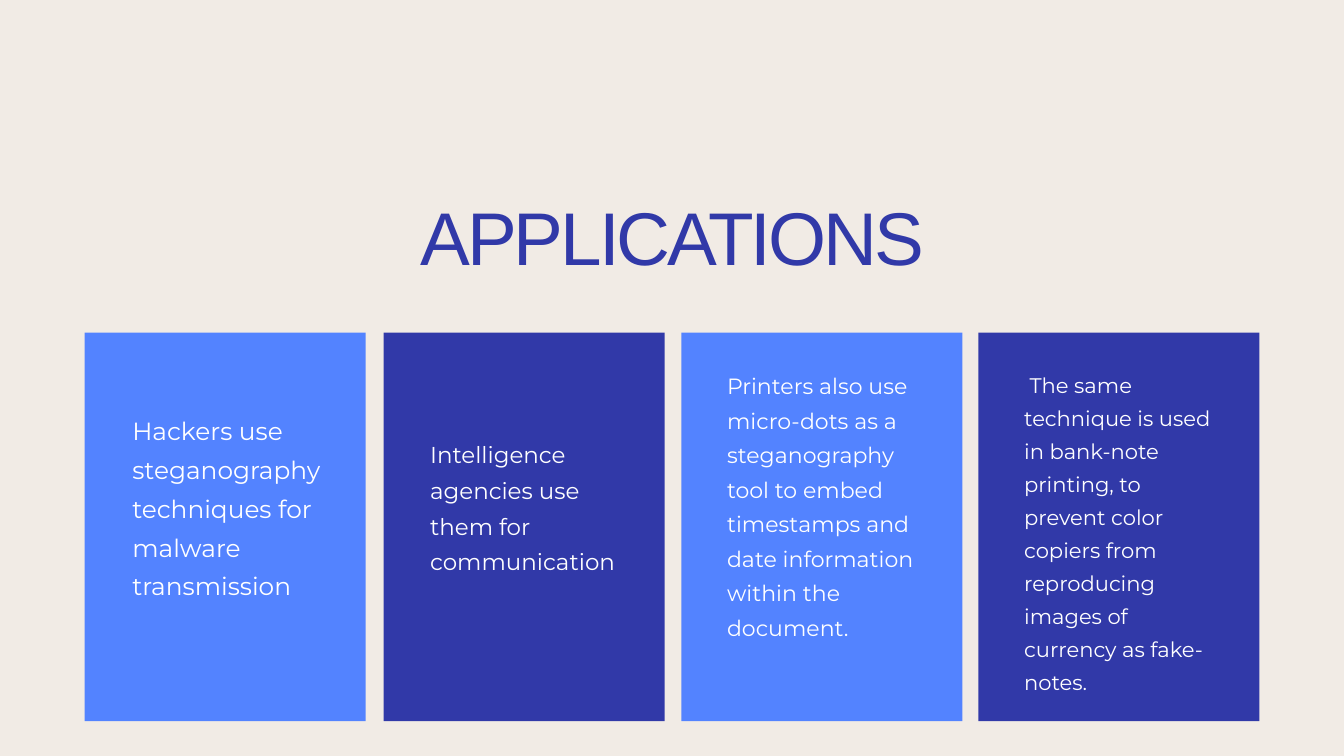
"""Build the slide on applications of steganography."""
from pptx import Presentation
from pptx import util as u
from pptx.dml.color import RGBColor
from pptx.enum import shapes, text

CREAM = RGBColor(0xF1, 0xEB, 0xE5)
SKY = RGBColor(0x53, 0x83, 0xFF)
NAVY = RGBColor(0x31, 0x39, 0xA8)
WHITE = RGBColor(0xFF, 0xFF, 0xFF)

TOP, WIDE, HIGH = 356.4, 301, 416.2

CARDS = [
    (90.7, SKY, (141.8, 436.3, 220.3, 204.5), 26.6, 41.5,
     "Hackers use steganography techniques for malware transmission"),
    (411.1, NAVY, (460.8, 463, 203, 151.2), 24.6, 38.4,
     "Intelligence agencies use them for communication"),
    (730.1, SKY, (779, 391, 203, 329), 23.6, 36.9,
     "Printers also use micro-dots as a steganography tool to embed "
     "timestamps and date information within the document."),
    (1048.3, NAVY, (1097.3, 391, 203, 351.4), 22.6, 35.3,
     " The same technique is used in bank-note printing, to prevent color "
     "copiers from reproducing images of currency as fake-notes."),
]


class Deck:
    def __init__(self, slide, head="Arial", body="Montserrat"):
        self.slide, self.head, self.body = slide, head, body

    def ground(self, color):
        fill = self.slide.background.fill
        fill.solid()
        fill.fore_color.rgb = color

    def panel(self, left, color):
        box = self.slide.shapes.add_shape(
            shapes.MSO_SHAPE.RECTANGLE, *map(u.Pt, (left, TOP, WIDE, HIGH)))
        box.shadow.inherit = False
        box.fill.solid()
        box.fill.fore_color.rgb = color
        box.line.fill.background()

    def label(self, area, words, font, size, lead, color, align):
        frame = self.slide.shapes.add_textbox(*map(u.Pt, area)).text_frame
        frame.word_wrap = True
        frame.auto_size = text.MSO_AUTO_SIZE.SHAPE_TO_FIT_TEXT
        frame.margin_left = frame.margin_right = 0
        frame.margin_top = frame.margin_bottom = 0
        para = frame.paragraphs[0]
        para.alignment = align
        para.line_spacing = u.Pt(lead)
        run = para.add_run()
        run.text = words
        run.font.name = font
        run.font.size = u.Pt(size)
        run.font.color.rgb = color
        return run

    def title(self, area, words):
        run = self.label(area, words, self.head, 80, 80, NAVY,
                         text.PP_ALIGN.CENTER)
        run._r.get_or_add_rPr().set("spc", "-340")

    def card(self, left, color, area, size, lead, words):
        self.panel(left, color)
        self.label(area, words, self.body, size, lead, WHITE,
                   text.PP_ALIGN.LEFT)


def main():
    show = Presentation()
    show.slide_width, show.slide_height = u.Pt(1440), u.Pt(810)
    deck = Deck(show.slides.add_slide(show.slide_layouts[6]))
    deck.ground(CREAM)
    deck.title((195.1, 220.3, 1050.5, 83.5), "APPLICATIONS")
    for card in CARDS:
        deck.card(*card)
    show.save("out.pptx")


if __name__ == "__main__":
    main()
